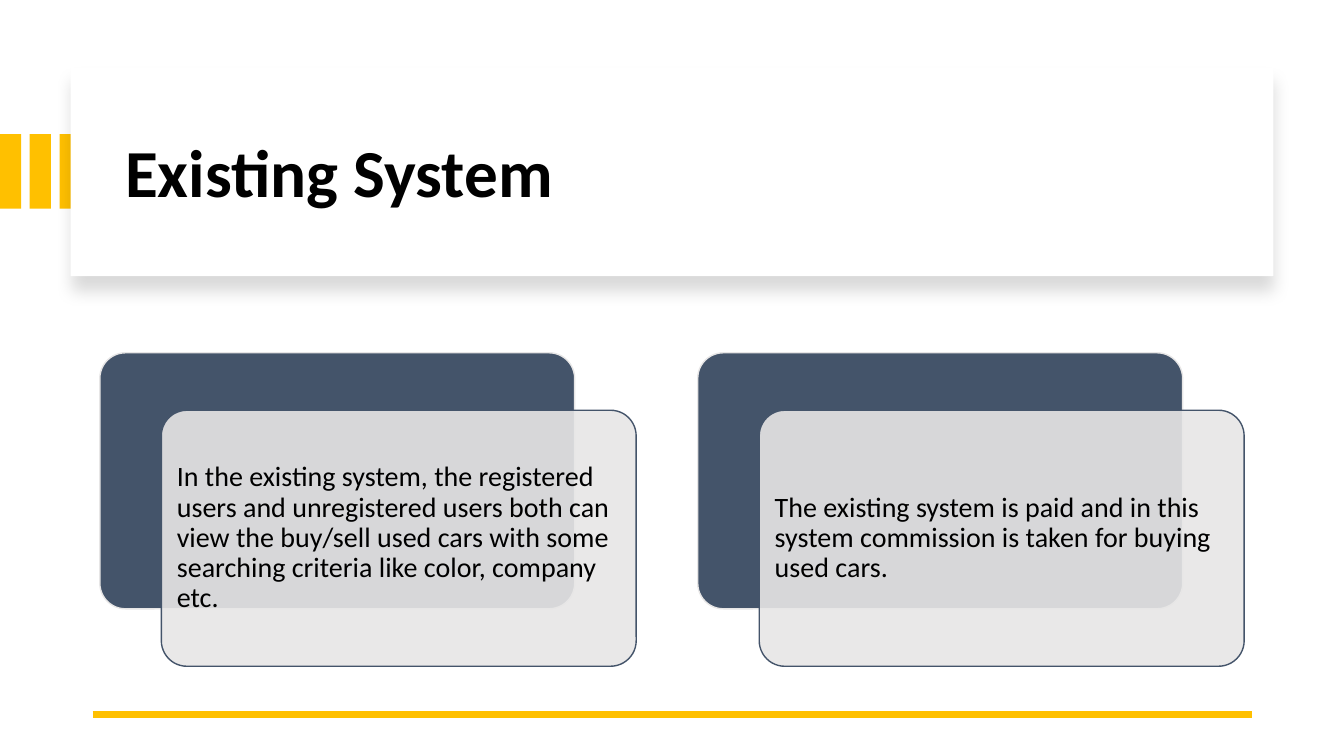
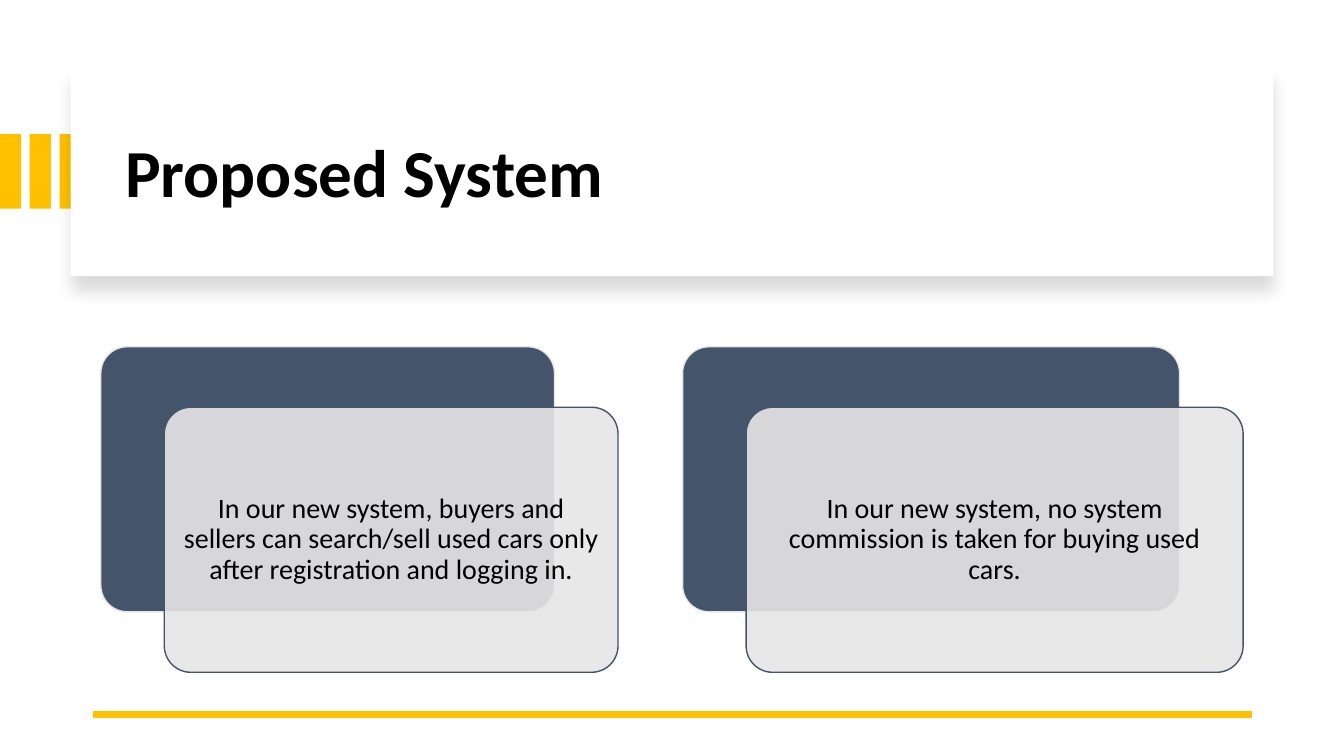
import dataclasses

import pptx
import pptx.util
from pptx.dml.color import RGBColor
from pptx.enum.shapes import MSO_CONNECTOR, MSO_SHAPE
from pptx.enum.text import MSO_ANCHOR, MSO_AUTO_SIZE, PP_ALIGN
from pptx.oxml import parse_xml
from pptx.oxml.ns import nsdecls, qn
from pptx.util import Inches, Pt


@dataclasses.dataclass(frozen=True)
class Theme:
    font: str = "Calibri"
    title_size: int = 48
    body_size: int = 20
    black: str = "000000"
    white: str = "FFFFFF"
    gold: str = "FFC000"
    slate: str = "44546A"
    pale: str = "E7E6E6"


def rgb(value):
    return RGBColor.from_string(value)


def add_effects(shape, inner=""):
    """Replace the theme effects of a shape with the given effect XML."""
    spPr = shape._element.spPr
    for old in spPr.findall(qn("a:effectLst")):
        spPr.remove(old)
    spPr.append(parse_xml(f"<a:effectLst {nsdecls('a')}>{inner}</a:effectLst>"))


class Deck:
    def __init__(self, theme):
        self.theme = theme
        self.prs = pptx.Presentation()
        self.prs.slide_width = Inches(13.33)
        self.prs.slide_height = Inches(7.5)
        self.s = None

    def slide(self, title):
        """Start a slide with stripes, title banner and bottom rule."""
        self.s = self.prs.slides.add_slide(self.prs.slide_layouts[5])
        for i in range(3):
            self.box(0.295 * i, 1.33, 0.21, 0.74, self.theme.gold)
        self.banner()
        self.title(title)
        self.rule(0.92, 12.42, 7.09)

    def box(self, x, y, w, h, fill, line=None, kind=MSO_SHAPE.RECTANGLE):
        sp = self.s.shapes.add_shape(
            kind, Inches(x), Inches(y), Inches(w), Inches(h))
        sp.shadow.inherit = False
        sp.fill.solid()
        sp.fill.fore_color.rgb = rgb(fill)
        if line:
            sp.line.color.rgb = rgb(line)
            sp.line.width = Pt(1)
        else:
            sp.line.fill.background()
        return sp

    def banner(self):
        sp = self.box(0.7, 0.67, 11.93, 2.07, self.theme.white)
        add_effects(
            sp,
            f'<a:outerShdw blurRad="{Pt(11)}" dist="{Pt(10)}" dir="5400000" '
            f'algn="t" rotWithShape="0"><a:srgbClr val="{self.theme.black}">'
            '<a:alpha val="15000"/></a:srgbClr></a:outerShdw>')

    def title(self, text):
        sp = self.s.shapes.title
        sp.left, sp.top = Inches(1.14), Inches(0.89)
        sp.width, sp.height = Inches(11.13), Inches(1.7)
        sp._element.getparent().append(sp._element)  # above the banner
        self.put_text(sp, text, self.theme.title_size, PP_ALIGN.LEFT, bold=True)

    def rule(self, x1, x2, y):
        ln = self.s.shapes.add_connector(
            MSO_CONNECTOR.STRAIGHT, Inches(x1), Inches(y), Inches(x2), Inches(y))
        ln.line.color.rgb = rgb(self.theme.gold)
        ln.line.width = Pt(4.5)
        add_effects(ln)

    def card(self, x, y, w, h, shift, text, align):
        """Draw a dark card with a translucent text card shifted over it."""
        t = self.theme
        dx, dy = shift
        back = self.box(x, y, w, h, t.slate, t.pale, MSO_SHAPE.ROUNDED_RECTANGLE)
        front = self.box(x + dx, y + dy, w, h, t.pale, t.slate,
                         MSO_SHAPE.ROUNDED_RECTANGLE)
        for sp in (back, front):
            sp.adjustments[0] = 0.1
        color = front._element.spPr.find(qn("a:solidFill"))[0]
        color.append(parse_xml(f'<a:alpha {nsdecls("a")} val="90000"/>'))
        tf = front.text_frame
        tf.margin_left = tf.margin_right = Inches(0.08)
        tf.margin_top = tf.margin_bottom = Inches(0.08)
        self.put_text(front, text, t.body_size, align)

    def put_text(self, sp, text, size, align, bold=False):
        tf = sp.text_frame
        tf.text = text
        tf.word_wrap = True
        tf.auto_size = MSO_AUTO_SIZE.NONE
        tf.vertical_anchor = MSO_ANCHOR.MIDDLE
        p = tf.paragraphs[0]
        p.alignment = align
        p.line_spacing = 0.9
        font = p.runs[0].font
        font.name = self.theme.font
        font.size = Pt(size)
        font.bold = bold
        font.color.rgb = rgb(self.theme.black)


def main():
    deck = Deck(Theme())

    deck.slide("Existing System")
    for x, w, text in (
        (0.99, 4.71, "In the existing system, the registered users and "
         "unregistered users both can view the buy/sell used cars with some "
         "searching criteria like color, company etc."),
        (6.92, 4.81, "The existing system is paid and in this system "
         "commission is taken for buying used cars."),
    ):
        deck.card(x, 3.5, w, 2.54, (0.61, 0.57), text, PP_ALIGN.LEFT)

    deck.slide("Proposed System")
    for x, w, text in (
        (1, 4.5, "In our new system, buyers and sellers can search/sell used "
         "cars only after registration and logging in."),
        (6.77, 4.93, "In our new system, no system commission is taken for "
         "buying used cars."),
    ):
        deck.card(x, 3.44, w, 2.63, (0.63, 0.6), text, PP_ALIGN.CENTER)

    deck.prs.save("out.pptx")


if __name__ == "__main__":
    main()
